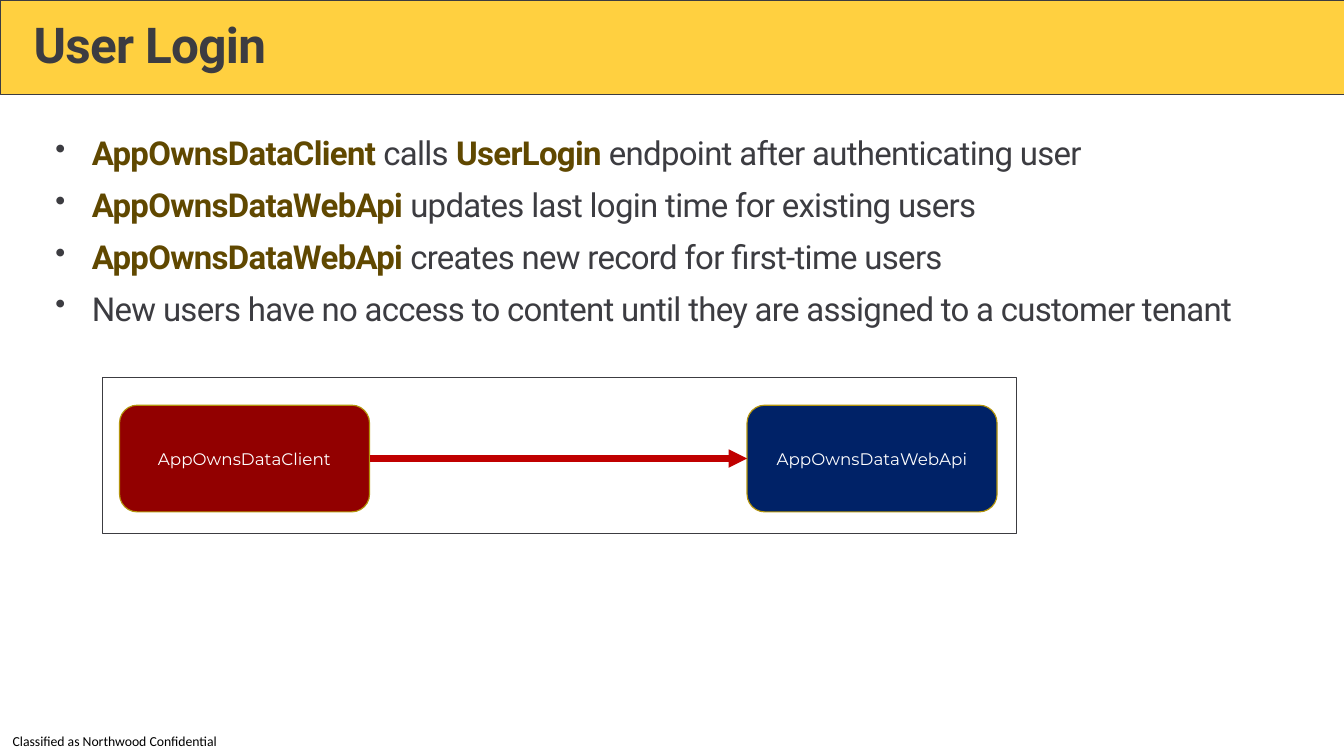
from lxml.etree import SubElement
from pptx import Presentation
from pptx.dml.color import RGBColor
from pptx.enum.shapes import MSO_CONNECTOR, MSO_SHAPE
from pptx.enum.text import MSO_ANCHOR, PP_ALIGN
from pptx.oxml.ns import qn
from pptx.util import Emu, Pt

PX = 9144  # 100 px to the inch
COLORS = {
    "white": "FFFFFF", "black": "000000", "ink": "3C3C41", "yellow": "FFD040",
    "brown": "604800", "gold": "B3940B", "navy": "002267", "maroon": "920000",
    "red": "C00000",
}


def px(length):
    return Emu(length * PX)


def rgb(name):
    return RGBColor.from_string(COLORS[name])


class SlideBuilder:
    def __init__(self, page):
        self.page = page

    def add_span(self, para, text, size, color, font, bold=False, spacing=None):
        span = para.add_run()
        span.text = text
        span.font.name = font
        span.font.size = Pt(size)
        span.font.bold = bold
        span.font.color.rgb = rgb(color)
        if spacing is not None:
            span.font._element.set("spc", str(spacing))

    def text_box(self, left, top, width, height, anchor=MSO_ANCHOR.TOP):
        box = self.page.shapes.add_textbox(px(left), px(top), px(width), px(height))
        frame = box.text_frame
        frame.word_wrap = True
        frame.vertical_anchor = anchor
        frame.margin_left = frame.margin_right = 0
        frame.margin_top = frame.margin_bottom = 0
        return frame

    def panel(self, kind, left, top, width, height, fill, line, weight):
        shape = self.page.shapes.add_shape(
            kind, px(left), px(top), px(width), px(height))
        shape.shadow.inherit = False
        shape.fill.solid()
        shape.fill.fore_color.rgb = rgb(fill)
        shape.line.color.rgb = rgb(line)
        shape.line.width = Pt(weight)
        return shape

    def node(self, left, top, width, height, label, fill):
        shape = self.panel(MSO_SHAPE.ROUNDED_RECTANGLE, left, top, width, height,
                           fill, "gold", 0.85)
        frame = shape.text_frame
        frame.vertical_anchor = MSO_ANCHOR.MIDDLE
        para = frame.paragraphs[0]
        para.alignment = PP_ALIGN.CENTER
        self.add_span(para, label, 12.2, "white", "Montserrat")
        return shape

    def bullet(self, para, indent):
        properties = para._p.get_or_add_pPr()
        properties.set("marL", str(px(indent)))
        properties.set("indent", str(-px(indent)))
        color = SubElement(properties, qn("a:buClr"))
        SubElement(color, qn("a:srgbClr"), val=COLORS["ink"])
        SubElement(properties, qn("a:buSzPct"), val="90000")
        SubElement(properties, qn("a:buChar"), char="•")

    def bullet_list(self, left, top, width, height, items):
        frame = self.text_box(left, top, width, height)
        for index, item in enumerate(items):
            para = frame.add_paragraph() if index else frame.paragraphs[0]
            self.bullet(para, 37)
            para.space_before = Pt(3 if index else 0)
            para.space_after = Pt(6)
            for text, strong in item:
                self.add_span(para, text, 24, "brown" if strong else "ink",
                              "Roboto", strong, -50)

    def arrow(self, source, target, color, weight):
        middle = source.top + source.height // 2
        line = self.page.shapes.add_connector(
            MSO_CONNECTOR.STRAIGHT, source.left + source.width, middle,
            target.left, middle)
        line.line.color.rgb = rgb(color)
        line.line.width = Pt(weight)
        SubElement(line.line._get_or_add_ln(), qn("a:tailEnd"), type="triangle")
        SubElement(line._element.spPr, qn("a:effectLst"))


def main():
    deck = Presentation()
    deck.slide_width, deck.slide_height = px(1360), px(765)
    page = deck.slides.add_slide(deck.slide_layouts[6])
    builder = SlideBuilder(page)

    # Classification footer
    footer = builder.text_box(0, 736, 232, 29, MSO_ANCHOR.MIDDLE).paragraphs[0]
    footer.alignment = PP_ALIGN.CENTER
    footer.line_spacing = 0.9
    builder.add_span(footer, "Classified as Northwood Confidential", 10,
                     "black", "Calibri")

    # Title band
    builder.panel(MSO_SHAPE.RECTANGLE, 0, 0, 1360, 96, "yellow", "ink", 0.5)
    title = builder.text_box(34, 21, 1291, 55).paragraphs[0]
    title.line_spacing = 0.9
    builder.add_span(title, "User Login", 36, "ink", "Roboto", True, -50)

    # Diagram frame
    builder.panel(MSO_SHAPE.RECTANGLE, 104, 382, 925, 158, "white", "ink", 0.85)

    # Bullets: (text, is strong)
    builder.bullet_list(56, 134, 1269, 294, [
        [("AppOwnsDataClient", True), (" calls ", False), ("UserLogin", True),
         (" endpoint after authenticating user", False)],
        [("AppOwnsDataWebApi", True),
         (" updates last login time for existing users", False)],
        [("AppOwnsDataWebApi", True),
         (" creates new record for first-time users", False)],
        [("New users have no access to content until they are assigned "
          "to a customer tenant", False)],
    ])

    # Client calls web API
    web_api = builder.node(756, 410, 253, 108, "AppOwnsDataWebApi", "navy")
    client = builder.node(121, 410, 253, 108, "AppOwnsDataClient", "maroon")
    builder.arrow(client, web_api, "red", 4.5)

    deck.save("out.pptx")


if __name__ == "__main__":
    main()
